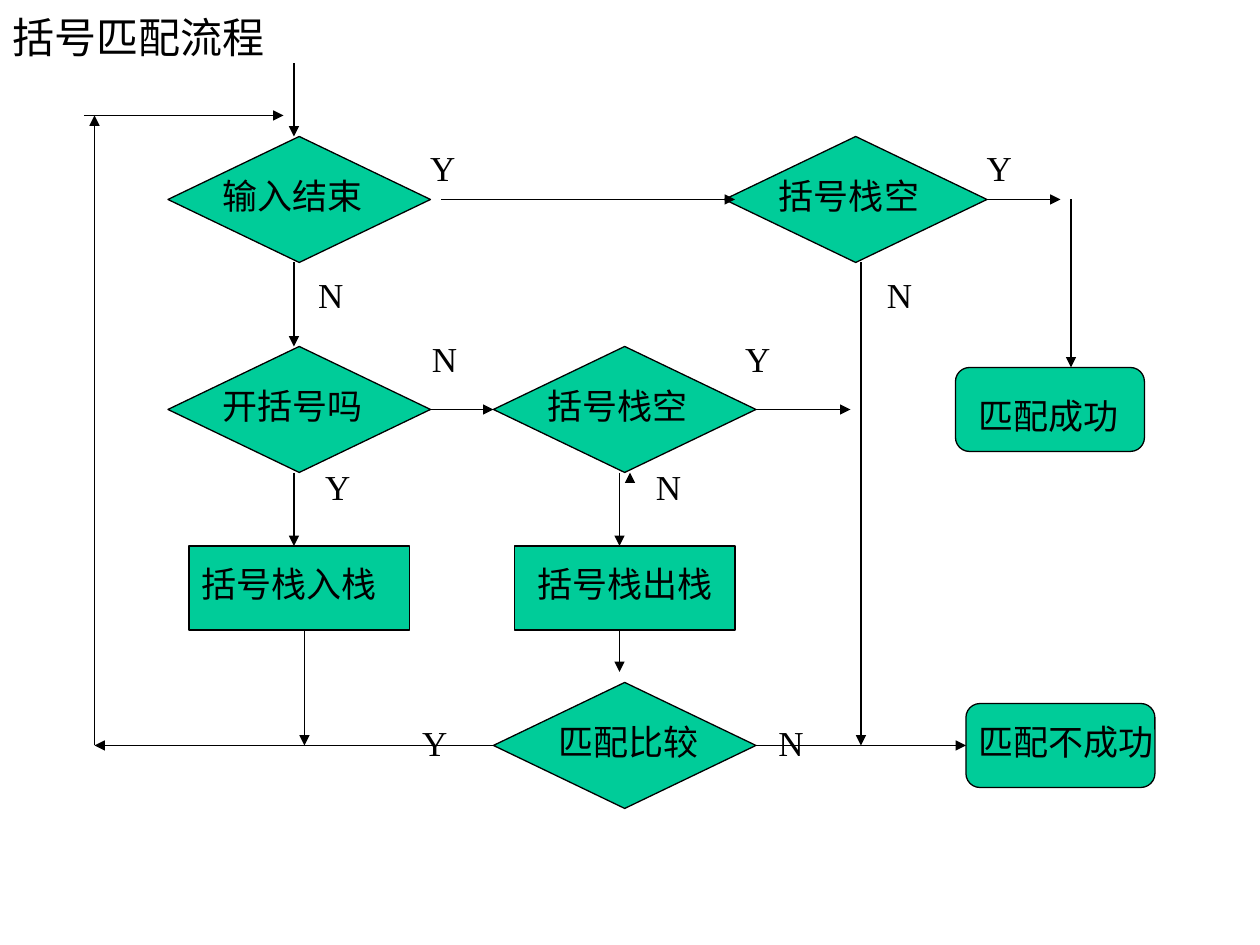
from dataclasses import dataclass

from lxml import etree
from pptx import Presentation
from pptx import util as u
from pptx.dml.color import RGBColor
from pptx.enum import shapes, text
from pptx.oxml.ns import qn


@dataclass(frozen=True)
class Theme:
    ink: RGBColor = RGBColor(0x00, 0x00, 0x00)
    step: RGBColor = RGBColor(0x00, 0xCC, 0x99)
    font: str = "Times New Roman"
    title_size: int = 24
    label_size: int = 20
    line_width: float = 0.75


theme = Theme()


def write(box, words, *, size=theme.label_size, align=text.PP_ALIGN.LEFT,
          anchor=text.MSO_ANCHOR.TOP, inset=None):
    frame = box.text_frame
    frame.word_wrap = True
    frame.auto_size = text.MSO_AUTO_SIZE.NONE
    frame.vertical_anchor = anchor
    if inset is not None:
        frame.margin_left = frame.margin_right = u.Pt(inset)
        frame.margin_top = frame.margin_bottom = u.Pt(inset)
    para = frame.paragraphs[0]
    para.alignment = align
    span = para.add_run()
    span.text = words
    span.font.name = theme.font
    span.font.size = u.Pt(size)
    span.font.color.rgb = theme.ink


deck = Presentation()
deck.slide_width, deck.slide_height = u.Pt(720), u.Pt(540)
page = deck.slides.add_slide(deck.slide_layouts[5])

title = page.shapes.title
title.left, title.top, title.width, title.height = u.Pt(0), u.Pt(0), u.Pt(612), u.Pt(42)
write(title, "括号匹配流程", size=theme.title_size, anchor=text.MSO_ANCHOR.MIDDLE)

# Each kind of step: preset shape, width, height
kinds = {
    "decision": (shapes.MSO_SHAPE.DIAMOND, 150, 72),
    "action": (shapes.MSO_SHAPE.RECTANGLE, 126, 48),
    "result": (shapes.MSO_SHAPE.ROUNDED_RECTANGLE, 108, 48),
}

# Kind, left, top, label, label offset from the step's corner
steps = [
    ("decision", 96, 78, "输入结束", 24, 18),
    ("decision", 414, 78, "括号栈空", 24, 18),
    ("decision", 96, 198, "开括号吗", 24, 18),
    ("decision", 282, 198, "括号栈空", 24, 18),
    ("decision", 282, 390, "匹配比较", 30, 18),
    ("action", 108, 312, "括号栈入栈", 0, 6),
    ("action", 294, 312, "括号栈出栈", 6, 6),
    ("result", 552, 402, "匹配不成功", 0, 6),
    ("result", 546, 210, "匹配成功", 6, 12),
]
for kind, left, top, label, label_dx, label_dy in steps:
    preset, width, height = kinds[kind]
    step = page.shapes.add_shape(preset, u.Pt(left), u.Pt(top), u.Pt(width), u.Pt(height))
    step.shadow.inherit = False
    step.fill.solid()
    step.fill.fore_color.rgb = theme.step
    step.line.color.rgb = theme.ink
    step.line.width = u.Pt(theme.line_width)
    label_width = len(label) * theme.label_size + 22
    box = page.shapes.add_textbox(u.Pt(left + label_dx), u.Pt(top + label_dy),
                                  u.Pt(label_width), u.Pt(32))
    write(box, label)

# Branch answers, by centre point
answers = [
    ("Y", 253, 95.5), ("Y", 571, 95.5),
    ("N", 189, 168.5), ("N", 514, 168.5),
    ("N", 254, 205), ("Y", 433, 205),
    ("Y", 193, 278), ("N", 382, 278),
    ("Y", 248.5, 424), ("N", 452, 424),
]
for answer, x, y in answers:
    box = page.shapes.add_textbox(u.Pt(x - 12), u.Pt(y - 12), u.Pt(24), u.Pt(24))
    write(box, answer, align=text.PP_ALIGN.CENTER, anchor=text.MSO_ANCHOR.MIDDLE, inset=0)

# Start x, start y, end x, end y
arrows = [
    (168, 36, 168, 78),
    (252, 114, 420, 114),
    (168, 150, 168, 198),
    (168, 270, 168, 312),
    (246, 234, 282, 234),
    (282, 426, 54, 426),
    (54, 426, 54, 66),
    (48, 66, 162, 66),
    (174, 360, 174, 426),
    (360, 276, 360, 270),
    (354, 360, 354, 384),
    (432, 426, 552, 426),
    (432, 234, 486, 234),
    (564, 114, 606, 114),
    (612, 114, 612, 210),
    (492, 150, 492, 426),
    (354, 270, 354, 312),
]
for ends in arrows:
    arrow = page.shapes.add_connector(shapes.MSO_CONNECTOR.STRAIGHT, *map(u.Pt, ends))
    arrow.line.color.rgb = theme.ink
    arrow.line.width = u.Pt(theme.line_width)
    properties = arrow.element.spPr
    etree.SubElement(properties.find(qn("a:ln")), qn("a:tailEnd"), type="triangle")
    etree.SubElement(properties, qn("a:effectLst"))

deck.save("out.pptx")
